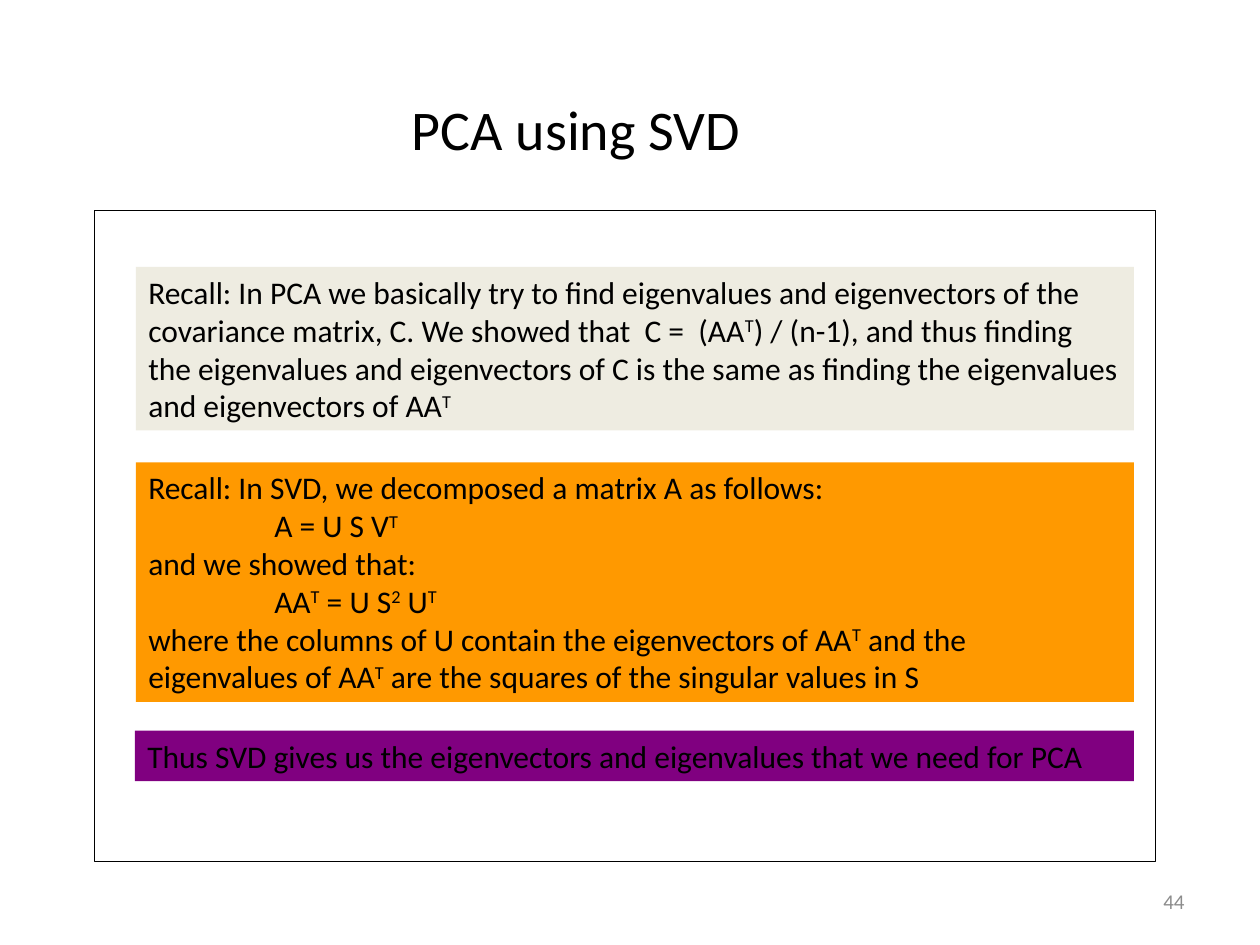
from lxml import etree
from pptx import Presentation
from pptx.dml.color import RGBColor
from pptx.enum.shapes import MSO_SHAPE
from pptx.enum.text import MSO_ANCHOR, MSO_AUTO_SIZE, PP_ALIGN
from pptx.oxml.ns import qn
from pptx.util import Cm, Pt

RECTANGLE = MSO_SHAPE.RECTANGLE
TOP, MIDDLE = MSO_ANCHOR.TOP, MSO_ANCHOR.MIDDLE
LEFT, RIGHT = PP_ALIGN.LEFT, PP_ALIGN.RIGHT
GROW = MSO_AUTO_SIZE.SHAPE_TO_FIT_TEXT
TITLE_ONLY = 5
FONT = "Calibri"

# (left, top, width, height) in cm inside the frame, fill, paragraphs;
# the letter after ^ is a superscript
STATEMENTS = [
    ((0.84, 1.14, 20.12, 3.3), "EEECE1", [
        "Recall: In PCA we basically try to find eigenvalues and eigenvectors "
        "of the covariance matrix, C. We showed that  C =  (AA^T) / (n-1), "
        "and thus finding the eigenvalues and eigenvectors of C is the same "
        "as finding the eigenvalues and eigenvectors of AA^T"]),
    ((0.84, 5.08, 20.12, 4.83), "FF9900", [
        "Recall: In SVD, we decomposed a matrix A as follows:",
        "\t\tA = U S V^T",
        "and we showed that:",
        "\t\tAA^T = U S^2 U^T",
        "where the columns of U contain the eigenvectors of AA^T and the "
        "eigenvalues of AA^T are the squares of the singular values in S"]),
    ((0.82, 10.49, 20.14, 1.02), "800080", [
        "Thus SVD gives us the eigenvectors and eigenvalues that we need "
        "for PCA"]),
]


def rgb(value):
    return RGBColor.from_string(value)


def style_run(run, size, color="000000"):
    run.font.name = FONT
    run.font.size = Pt(size)
    run.font.color.rgb = rgb(color)


def write_formula_text(paragraph, text):
    first, *raised = text.split("^")
    pieces = [(first, False)]
    for part in raised:
        pieces += [(part[0], True), (part[1:], False)]
    for piece, is_raised in pieces:
        if piece:
            run = paragraph.add_run()
            run.text = piece
            style_run(run, 18)
            if is_raised:
                run.font._element.set("baseline", "30000")


def add_rectangle(slide, box, fill):
    rectangle = slide.shapes.add_shape(RECTANGLE, *map(Cm, box))
    rectangle.shadow.inherit = False
    rectangle.fill.solid()
    rectangle.fill.fore_color.rgb = rgb(fill)
    return rectangle


def add_title(slide, box):
    title = slide.shapes.title
    title.left, title.top, title.width, title.height = map(Cm, box)
    frame = title.text_frame
    frame.text = "PCA using SVD"
    frame.word_wrap = False
    frame.auto_size = GROW
    frame.vertical_anchor = TOP
    frame.paragraphs[0].alignment = LEFT
    style_run(frame.paragraphs[0].runs[0], 32)


def add_statement(slide, box, fill, paragraphs):
    statement = add_rectangle(slide, box, fill)
    statement.line.fill.background()
    frame = statement.text_frame
    frame.word_wrap = True
    frame.auto_size = GROW
    frame.vertical_anchor = TOP
    for index, text in enumerate(paragraphs):
        paragraph = frame.add_paragraph() if index else frame.paragraphs[0]
        paragraph.alignment = LEFT
        write_formula_text(paragraph, text)


def add_argument(slide, box):
    """Place the outlined frame and the statements inside it."""
    outline = add_rectangle(slide, box, "FFFFFF")
    outline.line.color.rgb = rgb("000000")
    outline.line.width = Pt(0.75)
    color = outline.fill._xPr.find(".//" + qn("a:srgbClr"))
    etree.SubElement(color, qn("a:alpha"), val="70000")
    for (left, top, width, height), fill, paragraphs in STATEMENTS:
        inner = (box[0] + left, box[1] + top, width, height)
        add_statement(slide, inner, fill, paragraphs)


def add_page_number(slide, box):
    frame = slide.shapes.add_textbox(*map(Cm, box)).text_frame
    frame.text = "44"
    frame.word_wrap = True
    frame.vertical_anchor = MIDDLE
    frame.paragraphs[0].alignment = RIGHT
    style_run(frame.paragraphs[0].runs[0], 12, "8C8C8C")


def main():
    presentation = Presentation()
    presentation.slide_width, presentation.slide_height = Cm(25.4), Cm(19.05)
    slide = presentation.slides.add_slide(
        presentation.slide_layouts[TITLE_ONLY])
    add_title(slide, (8.05, 1.78, 7.21, 1.63))
    add_argument(slide, (1.9, 4.24, 21.39, 13.13))
    add_page_number(slide, (18.21, 17.65, 5.92, 1.02))
    presentation.save("out.pptx")


if __name__ == "__main__":
    main()
